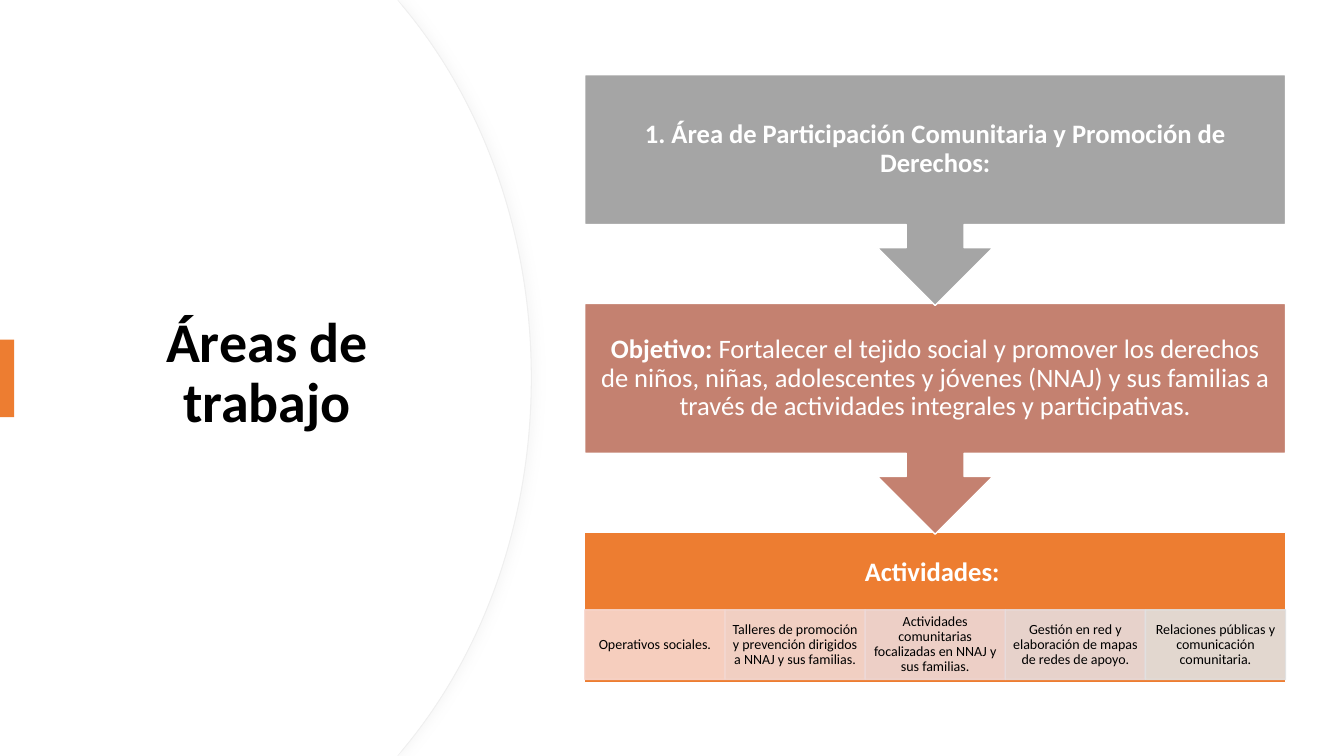
from lxml.etree import SubElement
from pptx import Presentation
from pptx.dml.color import RGBColor
from pptx.enum.shapes import MSO_SHAPE
from pptx.enum.text import MSO_ANCHOR, PP_ALIGN
from pptx.oxml.ns import qn
from pptx.util import Inches, Pt

COLORS = {
    "white": "FFFFFF", "black": "000000", "orange": "ED7D31", "clay": "C48170",
    "gray": "A5A5A5", "edge": "EFEFEF", "shadow": "D9D9D9",
}
RECTANGLE = MSO_SHAPE.RECTANGLE
CALLOUT = MSO_SHAPE.DOWN_ARROW_CALLOUT


def paint(shape, fill, line=None, width=1):
    shape.shadow.inherit = False
    shape.fill.solid()
    shape.fill.fore_color.rgb = RGBColor.from_string(fill)
    if line:
        shape.line.color.rgb = RGBColor.from_string(line)
        shape.line.width = Pt(width)
    else:
        shape.line.fill.background()


def write(shape, runs, size, color, margins):
    frame = shape.text_frame
    left, top, right, bottom = [Inches(margin) for margin in margins]
    frame_format = {
        "word_wrap": True, "vertical_anchor": MSO_ANCHOR.MIDDLE,
        "margin_left": left, "margin_top": top,
        "margin_right": right, "margin_bottom": bottom,
    }
    for name, value in frame_format.items():
        setattr(frame, name, value)
    paragraph = frame.paragraphs[0]
    paragraph.alignment = PP_ALIGN.CENTER
    paragraph.line_spacing = 0.9
    for text, bold in runs:
        run = paragraph.add_run()
        run.text = text
        font_format = {"name": "Calibri", "size": Pt(size), "bold": bold}
        for name, value in font_format.items():
            setattr(run.font, name, value)
        run.font.color.rgb = RGBColor.from_string(color)


presentation = Presentation()
presentation.slide_width = Inches(13.33)
presentation.slide_height = Inches(7.5)
slide = presentation.slides.add_slide(presentation.slide_layouts[6])
shapes = slide.shapes

for inset, line in [(0, COLORS["edge"]), (0.01, None)]:
    shoulder, control, edge = 4.01 - inset, 4.79 - inset, 5.27 - inset
    corners = [(3.94, 0), (shoulder, 0.08), (edge, 3.75), (shoulder, 7.42), (3.94, 7.5), (0, 7.5)]
    builder = shapes.build_freeform(0, 0)
    builder.add_line_segments([(Inches(x), Inches(y)) for x, y in corners], close=True)
    panel = builder.convert_to_shape()
    paint(panel, COLORS["white"], line, 0.75)

    properties = panel.element.spPr
    segments = list(properties.iter(qn("a:lnTo")))
    bends = [
        (segments[2], [(control, 1.02), (edge, 2.32)]),
        (segments[3], [(edge, 5.18), (control, 6.48)]),
    ]
    for segment, handles in bends:
        segment.tag = qn("a:cubicBezTo")
        for position, (x, y) in enumerate(handles):
            handle = SubElement(segment, qn("a:pt"), x=str(Inches(x)), y=str(Inches(y)))
            segment.insert(position, handle)

    if line:
        effects = properties.find(qn("a:effectLst"))
        shadow = SubElement(effects, qn("a:outerShdw"), blurRad=str(Pt(7)),
                            dist=str(Pt(3)), dir="0", algn="l", rotWithShape="0")
        shadow_color = SubElement(shadow, qn("a:srgbClr"), val=COLORS["shadow"])
        SubElement(shadow_color, qn("a:alpha"), val="20000")

title = shapes.add_textbox(Inches(0.68), Inches(1.27), Inches(3.94), Inches(4.95))
write(title, [("Áreas de trabajo", True)], 40, COLORS["black"], (0.15, 0.05, 0.15, 0.11))

accent = shapes.add_shape(RECTANGLE, 0, Inches(3.37), Inches(0.14), Inches(0.77))
paint(accent, COLORS["orange"])

left, width = 5.8, 6.95
objective = (
    " Fortalecer el tejido social y promover los derechos de niños, niñas, adolescentes y jóvenes "
    "(NNAJ) y sus familias a través de actividades integrales y participativas."
)
stages = [
    (RECTANGLE, 5.28, 1.49, "orange", 0.84, [("Actividades: ", True)]),
    (CALLOUT, 3.01, 2.29, "clay", 0.15, [("Objetivo:", True), (objective, False)]),
    (CALLOUT, 0.74, 2.29, "gray", 0.15,
     [("1. Área de Participación Comunitaria y Promoción de Derechos:", True)]),
]
for kind, top, height, color, bottom_margin, runs in stages:
    stage = shapes.add_shape(kind, Inches(left), Inches(top), Inches(width), Inches(height))
    paint(stage, COLORS[color], COLORS["white"])
    write(stage, runs, 19, COLORS["white"], (0.15, 0.15, 0.15, bottom_margin))

activities = [
    ("Operativos sociales.", "F8D7CE"),
    ("Talleres de promoción y prevención dirigidos a NNAJ y sus familias.", "F2D8D2"),
    ("Actividades comunitarias focalizadas en NNAJ y sus familias.", "EDD9D7"),
    ("Gestión en red y elaboración de mapas de redes de apoyo.", "E7DCDC"),
    ("Relaciones públicas y comunicación comunitaria.", "E1E1E1"),
]
tile_width = width / len(activities)
for index, (text, color) in enumerate(activities):
    tile = shapes.add_shape(RECTANGLE, Inches(left + index * tile_width), Inches(6.05),
                            Inches(tile_width), Inches(0.69))
    paint(tile, color, color)
    for tint in tile.element.spPr.iter(qn("a:srgbClr")):
        SubElement(tint, qn("a:alpha"), val="90000")
    write(tile, [(text, False)], 10, COLORS["black"], (0.07, 0.01, 0.07, 0.01))

presentation.save("out.pptx")
